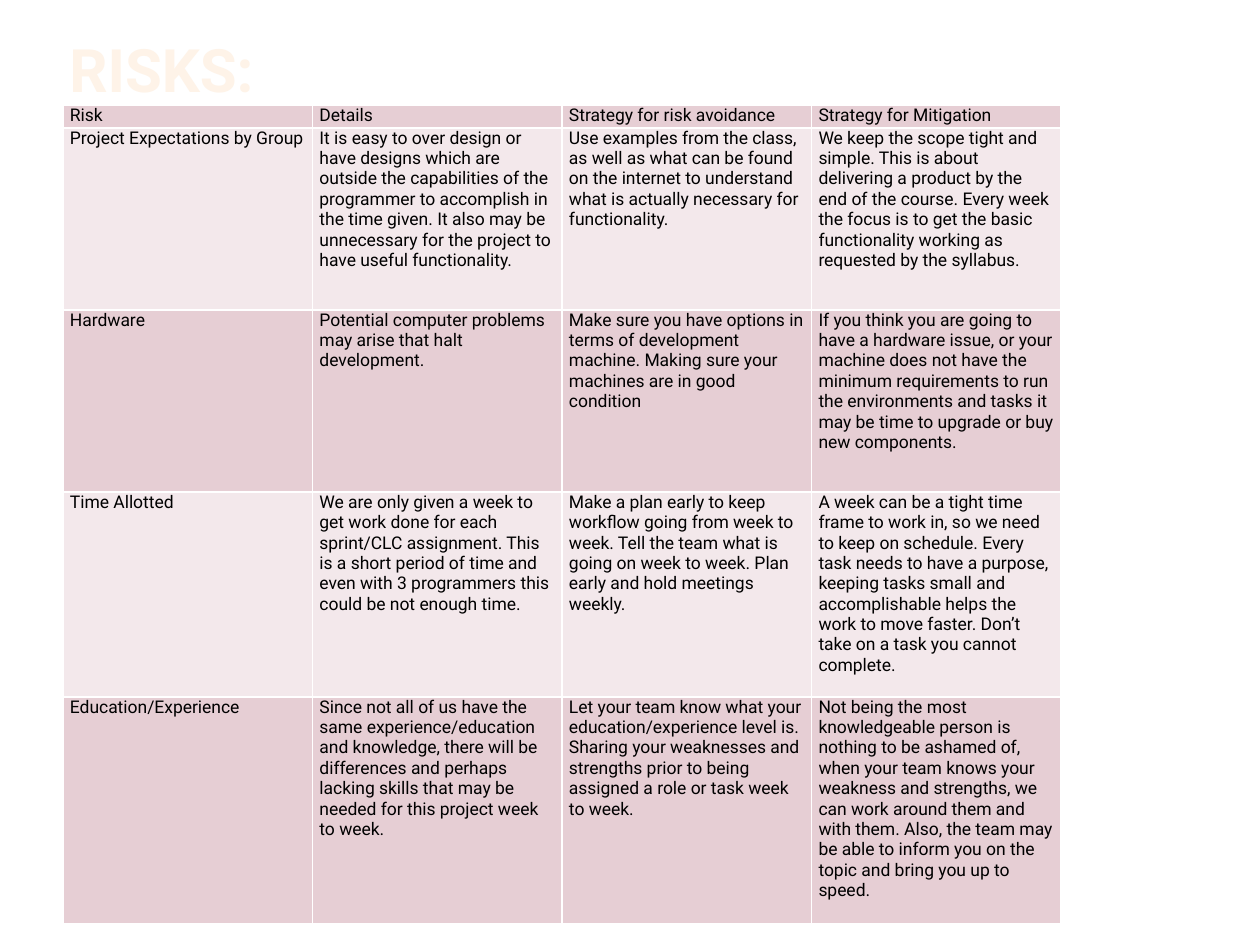
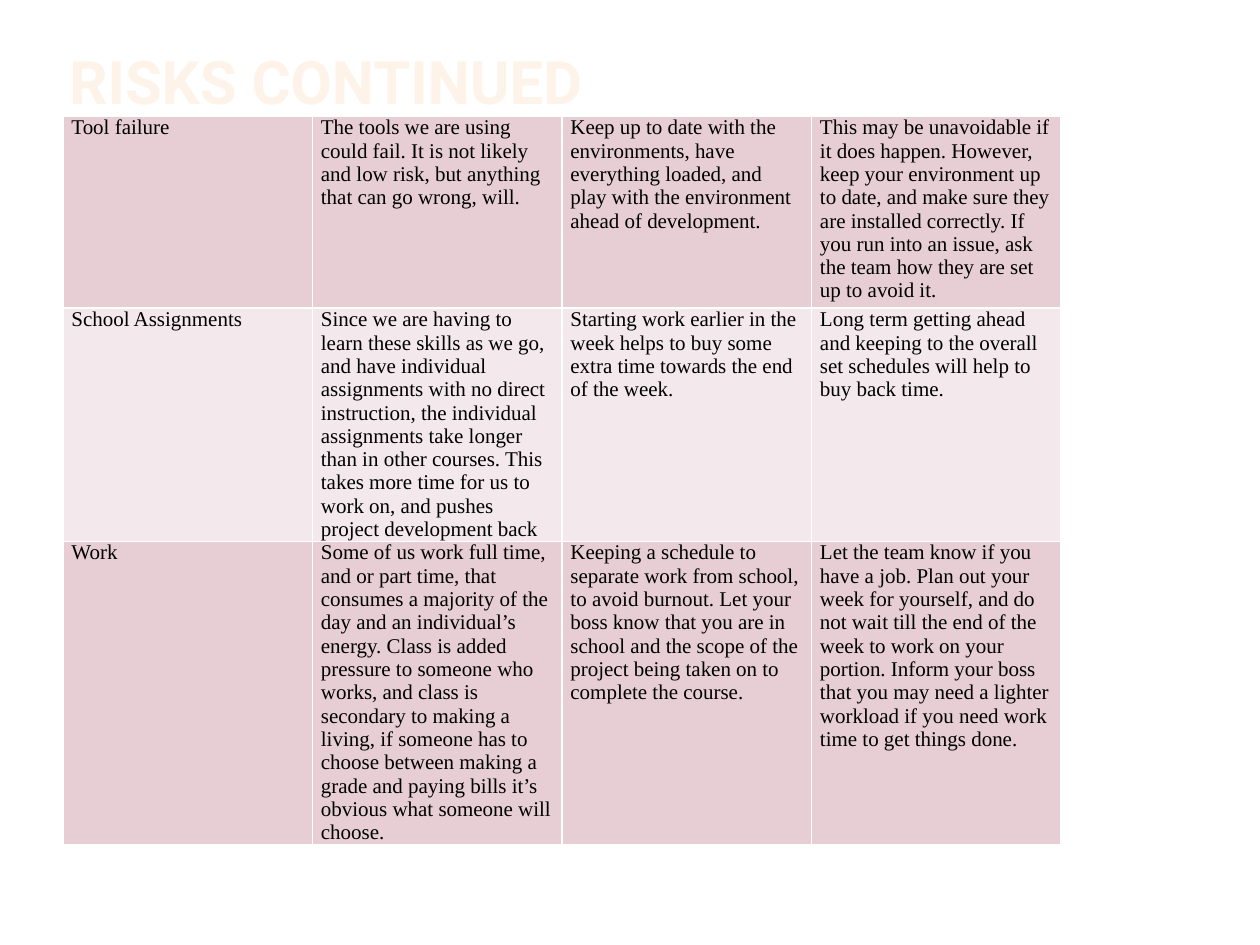
"""Build the two slides of the project risk register."""
from lxml import etree
from pptx import Presentation, util as u
from pptx.dml.color import RGBColor
from pptx.enum import text
from pptx.oxml import ns

COLOURS = {"title": "FEF3E8", "ink": "000000", "border": "FFFFFF",
           "dark": "E6CED4", "light": "F3E8EB"}
LEFT, WIDTH, TITLE_TOP = 1.27, 20.12, 0.89

RISKS = [
    ("Risk", "Details", "Strategy for risk avoidance", "Strategy for Mitigation"),
    ("Project Expectations by Group",
     "It is easy to over design or have designs which are outside the capabilities of the "
     "programmer to accomplish in the time given. It also may be unnecessary for the project "
     "to have useful functionality.",
     "Use examples from the class, as well as what can be found on the internet to understand "
     "what is actually necessary for functionality.",
     "We keep the scope tight and simple. This is about delivering a product by the end of the "
     "course. Every week the focus is to get the basic functionality working as requested by "
     "the syllabus."),
    ("Hardware",
     "Potential computer problems may arise that halt development.",
     "Make sure you have options in terms of development machine. Making sure your machines "
     "are in good condition",
     "If you think you are going to have a hardware issue, or your machine does not have the "
     "minimum requirements to run the environments and tasks it may be time to upgrade or buy "
     "new components."),
    ("Time Allotted",
     "We are only given a week to get work done for each sprint/CLC assignment. This is a "
     "short period of time and even with 3 programmers this could be not enough time.",
     "Make a plan early to keep workflow going from week to week. Tell the team what is going "
     "on week to week. Plan early and hold meetings weekly.",
     "A week can be a tight time frame to work in, so we need to keep on schedule. Every task "
     "needs to have a purpose, keeping tasks small and accomplishable helps the work to move "
     "faster. Don’t take on a task you cannot complete."),
    ("Education/Experience",
     "Since not all of us have the same experience/education and knowledge, there will be "
     "differences and perhaps lacking skills that may be needed for this project week to week.",
     "Let your team know what your education/experience level is. Sharing your weaknesses and "
     "strengths prior to being assigned a role or task week to week.",
     "Not being the most knowledgeable person is nothing to be ashamed of, when your team "
     "knows your weakness and strengths, we can work around them and with them. Also, the team "
     "may be able to inform you on the topic and bring you up to speed."),
]

MORE_RISKS = [
    ("Tool failure",
     "The tools we are using could fail. It is not likely and low risk, but anything that can "
     "go wrong, will.",
     "Keep up to date with the environments, have everything loaded, and play with the "
     "environment ahead of development.",
     "This may be unavoidable if it does happen. However, keep your environment up to date, "
     "and make sure they are installed correctly. If you run into an issue, ask the team how "
     "they are set up to avoid it."),
    ("School Assignments",
     "Since we are having to learn these skills as we go, and have individual assignments with "
     "no direct instruction, the individual assignments take longer than in other courses. "
     "This takes more time for us to work on, and pushes project development back",
     "Starting work earlier in the week helps to buy some extra time towards the end of the "
     "week.",
     "Long term getting ahead and keeping to the overall set schedules will help to buy back "
     "time."),
    ("Work",
     "Some of us work full time, and or part time, that consumes a majority of the day and an "
     "individual’s energy. Class is added pressure to someone who works, and class is "
     "secondary to making a living, if someone has to choose between making a grade and paying "
     "bills it’s obvious what someone will choose.",
     "Keeping a schedule to separate work from school, to avoid burnout. Let your boss know "
     "that you are in school and the scope of the project being taken on to complete the "
     "course.",
     "Let the team know if you have a job. Plan out your week for yourself, and do not wait "
     "till the end of the week to work on your portion. Inform your boss that you may need a "
     "lighter workload if you need work time to get things done."),
]


class RiskDeck:
    """Holds the deck, its shared style and the current slide."""

    def __init__(self):
        self.deck = Presentation()
        self.deck.slide_width, self.deck.slide_height = u.Cm(25.4), u.Cm(19.05)
        self.slide = None

    def style(self, paragraph, font_name, size, colour, bold=False):
        """Format a whole paragraph."""
        paragraph.alignment = text.PP_ALIGN.LEFT
        font = paragraph.font
        font.name, font.size, font.bold = font_name, u.Pt(size), bold
        font.color.rgb = RGBColor.from_string(COLOURS[colour])

    def add_titled_slide(self, wording, height):
        """Start a slide and place its title."""
        self.slide = self.deck.slides.add_slide(self.deck.slide_layouts[5])
        title = self.slide.shapes.title
        title.left, title.top = u.Cm(LEFT), u.Cm(TITLE_TOP)
        title.width, title.height = u.Cm(WIDTH), u.Cm(height)
        frame = title.text_frame
        frame.text = wording
        frame.word_wrap, frame.auto_size = True, text.MSO_AUTO_SIZE.NONE
        frame.vertical_anchor = text.MSO_ANCHOR.BOTTOM
        frame.margin_left = frame.margin_right = u.Cm(0.13)
        frame.margin_top = frame.margin_bottom = 0
        self.style(frame.paragraphs[0], "Roboto", 34.2, "title", bold=True)

    def add_borders(self, cell):
        """Draw a thin line on all four sides of a cell."""
        properties = cell._tc.get_or_add_tcPr()
        for side in ("a:lnL", "a:lnR", "a:lnT", "a:lnB"):
            line = etree.SubElement(properties, ns.qn(side), w=str(u.Pt(1)))
            fill = etree.SubElement(line, ns.qn("a:solidFill"))
            etree.SubElement(fill, ns.qn("a:srgbClr"), val=COLOURS["border"])

    def add_risk_table(self, rows, top, heights, font_name, size, inset):
        """Add a banded table with equal columns."""
        columns = len(rows[0])
        table = self.slide.shapes.add_table(
            len(rows), columns, u.Cm(LEFT), u.Cm(top), u.Cm(WIDTH), u.Cm(sum(heights))).table
        table.first_row = table.horz_banding = False
        for column in table.columns:
            column.width = u.Cm(WIDTH / columns)
        for index, (wordings, height) in enumerate(zip(rows, heights)):
            table.rows[index].height = u.Cm(height)
            band = "light" if index % 2 else "dark"
            for cell, wording in zip(table.rows[index].cells, wordings):
                self.add_borders(cell)
                cell.fill.solid()
                cell.fill.fore_color.rgb = RGBColor.from_string(COLOURS[band])
                cell.margin_left = cell.margin_right = u.Cm(inset)
                cell.margin_top = cell.margin_bottom = 0
                cell.text = wording
                self.style(cell.text_frame.paragraphs[0], font_name, size, "ink")


def main():
    register = RiskDeck()
    register.add_titled_slide("RISKS:", 1.22)
    register.add_risk_table(RISKS, 2.13, [0.45, 3.67, 3.67, 4.13, 4.58], "Roboto", 10, 0.14)
    register.add_titled_slide("RISKS CONTINUED", 1.45)
    register.add_risk_table(MORE_RISKS, 2.34, [3.87, 4.3, 5.58], "Times New Roman", 12, 0.17)
    register.deck.save("out.pptx")


if __name__ == "__main__":
    main()
